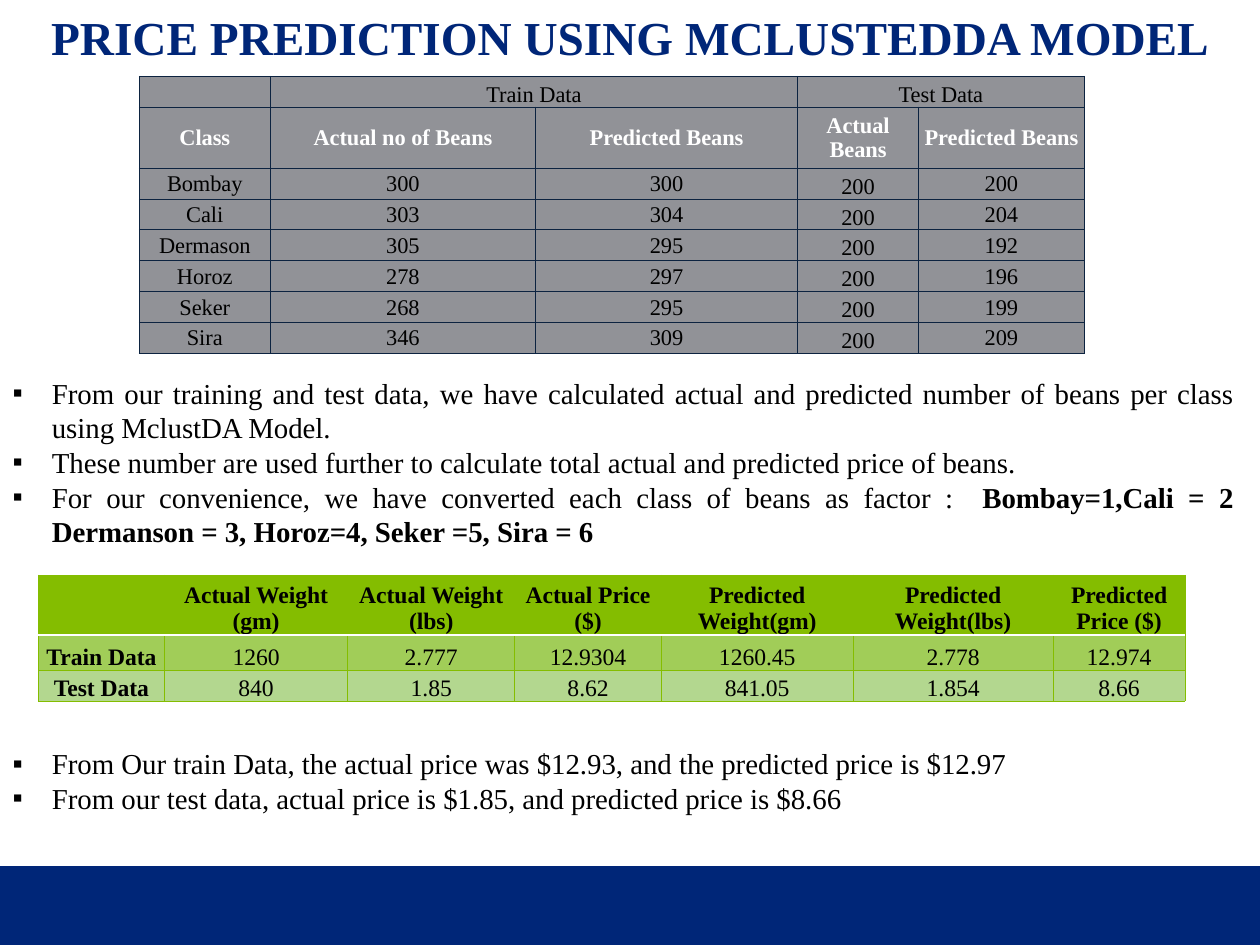
from lxml.etree import SubElement
from pptx import Presentation
from pptx.dml.color import RGBColor
from pptx.enum.shapes import MSO_SHAPE
from pptx.enum.text import MSO_ANCHOR, MSO_AUTO_SIZE, PP_ALIGN
from pptx.oxml.ns import qn
from pptx.util import Inches, Pt

NAVY, GREEN, GREY, WHITE, BLACK = "002678", "84BD00", "919297", "FFFFFF", "000000"

BEANS = [
    ["", "Train Data", "", "Test Data", ""],
    ["Class", "Actual no of Beans", "Predicted Beans", "Actual Beans", "Predicted Beans"],
    ["Bombay", "300", "300", "200", "200"],
    ["Cali", "303", "304", "200", "204"],
    ["Dermason", "305", "295", "200", "192"],
    ["Horoz", "278", "297", "200", "196"],
    ["Seker", "268", "295", "200", "199"],
    ["Sira", "346", "309", "200", "209"],
]
PRICES = [
    ["", "Actual Weight (gm)", "Actual Weight (lbs)", "Actual Price ($)",
     "Predicted Weight(gm)", "Predicted Weight(lbs)", "Predicted Price ($)"],
    ["Train Data", "1260", "2.777", "12.9304", "1260.45", "2.778", "12.974"],
    ["Test Data", "840", "1.85", "8.62", "841.05", "1.854", "8.66"],
]
METHOD_POINTS = [
    [("From our training and test data, we have calculated actual and predicted "
      "number of beans per class using MclustDA Model.", False)],
    [("These number are used further to calculate total actual and predicted "
      "price of beans.", False)],
    [("For our convenience, we have converted each class of beans as factor :  ", False),
     ("Bombay=1,Cali = 2 Dermanson = 3, Horoz=4, Seker =5, Sira = 6", True)],
]
RESULT_POINTS = [
    [("From Our train Data, the actual price was $12.93, and the predicted price is $12.97", False)],
    [("From our test data, actual price is $1.85, and predicted price is $8.66", False)],
]


def color(value):
    return RGBColor.from_string(value)


def apply(target, values):
    for name, value in values.items():
        setattr(target, name, value)


class SlideBuilder:
    """Style and current slide, measured on a grid of 100 columns by 75 rows."""

    font_name = "Times New Roman"
    unit = Inches(0.1)

    def __init__(self, presentation):
        apply(presentation, {"slide_width": self.length(100), "slide_height": self.length(75)})
        self.slide = presentation.slides.add_slide(presentation.slide_layouts[3])

    def length(self, units):
        return round(units * self.unit)

    def box(self, *units):
        return [self.length(value) for value in units]

    def place(self, shape, box):
        apply(shape, dict(zip(("left", "top", "width", "height"), self.box(*box))))

    def add_text(self, paragraph, text, size, bold=False, ink=BLACK):
        run = paragraph.add_run()
        run.text = text
        apply(run.font, {"name": self.font_name, "size": Pt(size), "bold": bold})
        run.font.color.rgb = color(ink)

    def band(self, box, fill):
        shape = self.slide.shapes.add_shape(MSO_SHAPE.RECTANGLE, *self.box(*box))
        shape.shadow.inherit = False
        shape.fill.solid()
        shape.fill.fore_color.rgb = color(fill)
        shape.line.fill.background()

    def title(self, text, box):
        shape = self.slide.shapes.title
        self.place(shape, box)
        side, edge = self.box(0.75, 0.38)
        apply(shape.text_frame, {
            "margin_left": side, "margin_right": side, "margin_top": edge, "margin_bottom": edge,
            "vertical_anchor": MSO_ANCHOR.BOTTOM, "auto_size": MSO_AUTO_SIZE.NONE,
        })
        paragraph = shape.text_frame.paragraphs[0]
        apply(paragraph, {"alignment": PP_ALIGN.CENTER, "line_spacing": 0.9})
        self.add_text(paragraph, text, 27, True, NAVY)

    def bullets(self, index, points, box, alignment):
        shape = self.slide.placeholders[index]
        self.place(shape, box)
        frame = shape.text_frame
        apply(frame, {"auto_size": MSO_AUTO_SIZE.NONE, "vertical_anchor": MSO_ANCHOR.TOP})
        indent = self.length(3.12)
        for number, point in enumerate(points):
            paragraph = frame.add_paragraph() if number else frame.paragraphs[0]
            apply(paragraph, {"alignment": alignment, "space_before": Pt(0)})
            properties = paragraph._p.get_or_add_pPr()
            properties.set("marL", str(indent))
            properties.set("indent", str(-indent))
            SubElement(properties, qn("a:buChar"), char="▪")
            for text, bold in point:
                self.add_text(paragraph, text, 16.5, bold)

    def borders(self, cell, edges):
        properties = cell._tc.get_or_add_tcPr()
        for side in "LRTB":
            ink, width = edges[side]
            line = SubElement(properties, qn(f"a:ln{side}"), w=str(Pt(width)))
            SubElement(SubElement(line, qn("a:solidFill")), qn("a:srgbClr"), val=ink)

    def table(self, rows, origin, widths, heights, size, look):
        frame = self.slide.shapes.add_table(
            len(rows), len(widths), *self.box(*origin, sum(widths), sum(heights)))
        table = frame.table
        apply(table, {"first_row": False, "horz_banding": False})
        for column, width in zip(table.columns, widths):
            column.width = self.length(width)
        thin = self.length(0.1)
        for row, (texts, height) in enumerate(zip(rows, heights)):
            table.rows[row].height = self.length(height)
            for column, text in enumerate(texts):
                cell = table.cell(row, column)
                fill, ink, bold, anchor, edges = look(row, column)
                apply(cell, {"margin_left": thin, "margin_right": thin, "margin_top": thin,
                             "margin_bottom": 0, "vertical_anchor": anchor})
                self.borders(cell, edges)
                cell.fill.solid()
                cell.fill.fore_color.rgb = color(fill)
                paragraph = cell.text_frame.paragraphs[0]
                paragraph.alignment = PP_ALIGN.CENTER
                if text:
                    self.add_text(paragraph, text, size, bold, ink)
                else:
                    SubElement(paragraph._p, qn("a:endParaRPr"), sz=str(round(size * 100)))
        return table


def beans_look(row, column):
    header = row == 1
    low = row == 0 or (row > 1 and column == 3)
    anchor = MSO_ANCHOR.BOTTOM if low else MSO_ANCHOR.MIDDLE
    edges = dict.fromkeys("LRTB", ("0C2340", 0.5))
    return GREY, WHITE if header else BLACK, header, anchor, edges


def prices_look(row, column):
    fill = (GREEN, "A1CD58", "B3D78F")[row]
    edges = dict.fromkeys("LRTB", (GREEN, 0.5))
    if row < 2:
        edges["T" if row else "B"] = (WHITE, 1)
    return fill, BLACK, row == 0 or column == 0, MSO_ANCHOR.BOTTOM, edges


def main():
    presentation = Presentation()
    builder = SlideBuilder(presentation)
    builder.band((0, 68.75, 100, 6.25), NAVY)
    builder.title("PRICE PREDICTION USING MCLUSTEDDA MODEL", (0, 0, 100, 5.6))
    beans = builder.table(BEANS, (11.05, 6.05), (10.4, 21.05, 20.8, 9.6, 13.15),
                          [2.45, 4.85] + [2.45] * 6, 12.75, beans_look)
    for first in (1, 3):
        beans.cell(0, first).merge(beans.cell(0, first + 1))
    builder.bullets(1, METHOD_POINTS, (0, 29.3, 98.9, 14.5), PP_ALIGN.JUSTIFY)
    builder.table(PRICES, (3.05, 45.65), (10, 14.55, 13.25, 11.65, 15.2, 15.9, 10.45),
                  (4.75, 2.85, 2.4), 13.5, prices_look)
    builder.bullets(2, RESULT_POINTS, (0, 58.7, 100, 6.4), PP_ALIGN.LEFT)
    presentation.save("out.pptx")


if __name__ == "__main__":
    main()
